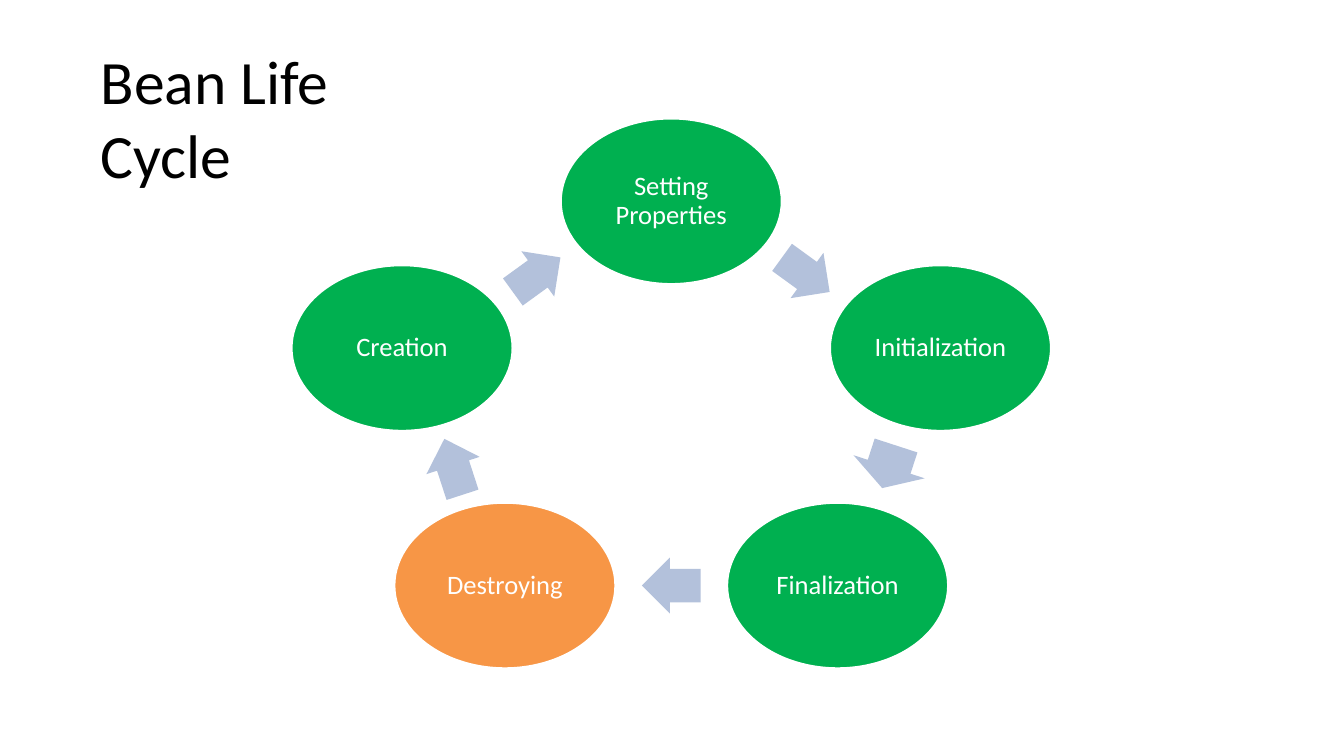
from dataclasses import dataclass
from math import cos, radians, sin

from pptx import Presentation
from pptx.dml.color import RGBColor
from pptx.enum.shapes import MSO_SHAPE
from pptx.enum.text import MSO_ANCHOR, PP_ALIGN
from pptx.util import Pt

OVAL = MSO_SHAPE.OVAL
ARROW = MSO_SHAPE.RIGHT_ARROW
MIDDLE = MSO_ANCHOR.MIDDLE
TOP = MSO_ANCHOR.TOP
CENTER = PP_ALIGN.CENTER
LEFT = PP_ALIGN.LEFT


@dataclass(frozen=True)
class Theme:
    font: str = "Calibri"
    black: str = "000000"
    white: str = "FFFFFF"
    green: str = "00B050"
    orange: str = "F79646"
    arrow: str = "B3C1DB"
    title: float = 44
    label: float = 19


THEME = Theme()
STAGES = [
    ("Setting Properties", THEME.green),
    ("Initialization", THEME.green),
    ("Finalization", THEME.green),
    ("Destroying", THEME.orange),
    ("Creation", THEME.green),
]
ARROWS = [(42, 40), (32, 53.5), (42, 40), (42, 40), (42, 40)]
STEP = 360 / len(STAGES)
MID_X, MID_Y = 479.5, 295.5
RING_X, RING_Y = 202.2, 151.7
NODE_W, NODE_H = 158.4, 118.8


def paint(shape, color):
    shape.shadow.inherit = False
    shape.fill.solid()
    shape.fill.fore_color.rgb = RGBColor.from_string(color)
    shape.line.fill.background()


def write(shape, text, size, color, align, anchor, spacing):
    frame = shape.text_frame
    frame.text = text
    frame.word_wrap = True
    frame.vertical_anchor = anchor
    frame.margin_left = frame.margin_right = Pt(0)
    frame.margin_top = frame.margin_bottom = Pt(0)
    line = frame.paragraphs[0]
    line.alignment = align
    line.line_spacing = spacing
    font = line.runs[0].font
    font.name = THEME.font
    font.size = Pt(size)
    font.color.rgb = RGBColor.from_string(color)


def add_title(slide, text):
    box = slide.shapes.add_textbox(Pt(72), Pt(31), Pt(260), Pt(108))
    write(box, text, THEME.title, THEME.black, LEFT, TOP, 1.0)


def add_centered(slide, kind, x, y, wide, high):
    return slide.shapes.add_shape(
        kind, Pt(x - wide / 2), Pt(y - high / 2), Pt(wide), Pt(high)
    )


def add_stage(slide, spot, text, color):
    node = add_centered(slide, OVAL, *spot, NODE_W, NODE_H)
    paint(node, color)
    node.line.color.rgb = RGBColor.from_string(THEME.white)
    node.line.width = Pt(2)
    write(node, text, THEME.label, THEME.white, CENTER, MIDDLE, 0.9)


def add_arrow(slide, start, end, size, angle):
    x, y = [(a + b) / 2 for a, b in zip(start, end)]
    arrow = add_centered(slide, ARROW, x, y, *size)
    arrow.adjustments[0] = 0.6
    arrow.adjustments[1] = 0.5
    arrow.rotation = angle
    paint(arrow, THEME.arrow)


def ring_spot(index):
    turn = radians(index * STEP)
    return MID_X + RING_X * sin(turn), MID_Y - RING_Y * cos(turn)


def main():
    deck = Presentation()
    deck.slide_width, deck.slide_height = Pt(960), Pt(540)
    slide = deck.slides.add_slide(deck.slide_layouts[6])
    add_title(slide, "Bean Life Cycle")
    for index, (text, color) in enumerate(STAGES):
        spot = ring_spot(index)
        add_stage(slide, spot, text, color)
        angle = (index + 0.5) * STEP
        add_arrow(slide, spot, ring_spot(index + 1), ARROWS[index], angle)
    deck.save("out.pptx")


if __name__ == "__main__":
    main()
